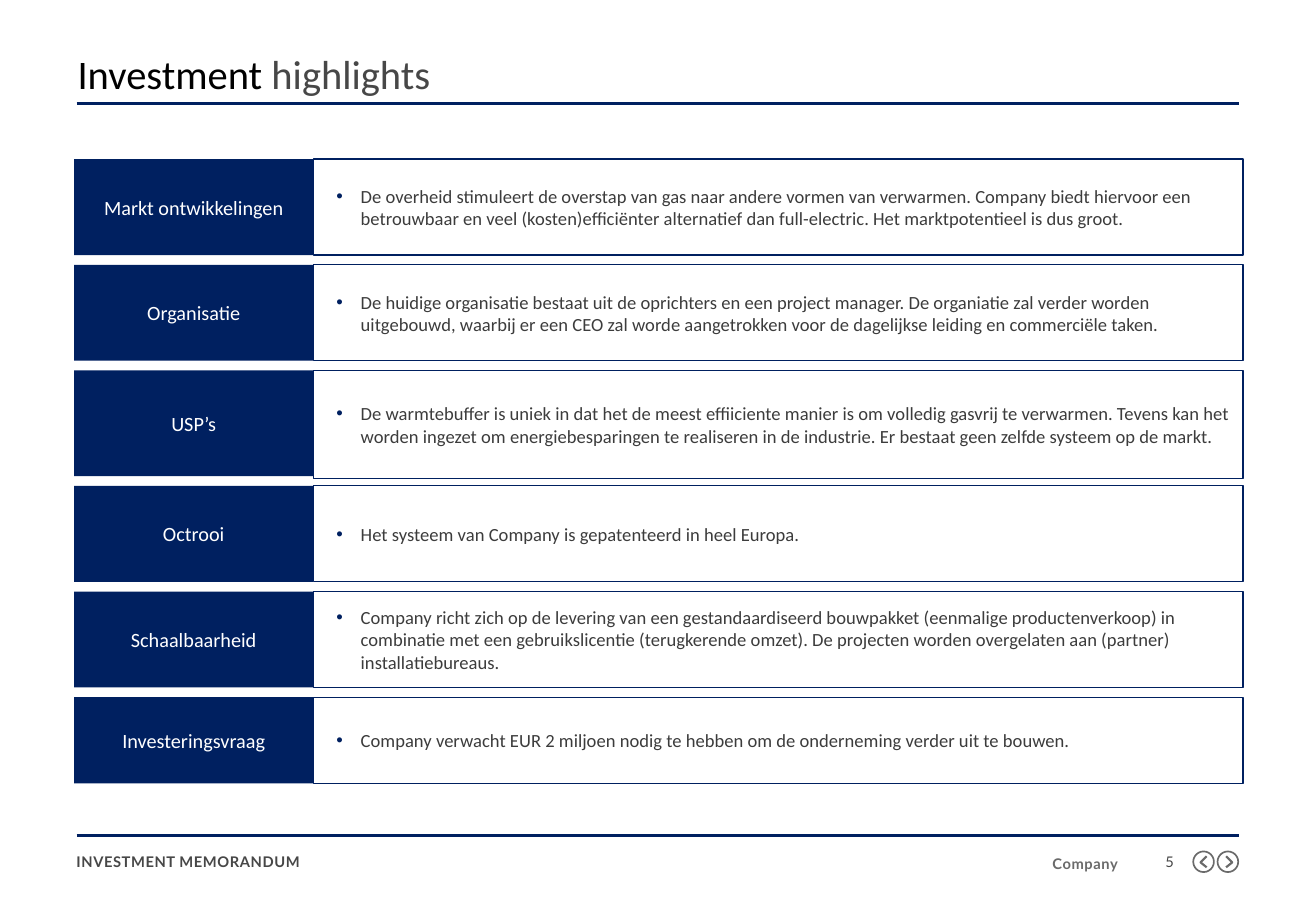
from dataclasses import dataclass

from lxml import etree
from pptx import Presentation
from pptx.dml.color import RGBColor
from pptx.enum.shapes import MSO_CONNECTOR, MSO_SHAPE
from pptx.enum.text import MSO_ANCHOR, PP_ALIGN
from pptx.oxml.ns import qn
from pptx.util import Pt

PX = 9144  # 100 px to the inch
LEFT, CENTER, RIGHT = PP_ALIGN.LEFT, PP_ALIGN.CENTER, PP_ALIGN.RIGHT
TOP, MIDDLE = MSO_ANCHOR.TOP, MSO_ANCHOR.MIDDLE
RECT, OVAL = MSO_SHAPE.RECTANGLE, MSO_SHAPE.OVAL
STRAIGHT = MSO_CONNECTOR.STRAIGHT

COLORS = {"navy": "002060", "white": "FFFFFF", "black": "000000",
          "dark": "474747", "body": "3C3C3C", "grey": "6A6A6A"}
TITLE = {"name": "Calibri", "size": Pt(24)}
LABEL = {"name": "Calibri", "size": Pt(12)}
BODY = {"name": "Calibri", "size": Pt(11)}
FOOTER = {"name": "Lato", "size": Pt(8.7)}
FOOTER_BOLD = {**FOOTER, "bold": True}

ROWS_TOP, ROW_GAP = 131, 8
LABEL_LEFT, LABEL_WIDTH = 61, 197
BODY_LEFT, BODY_WIDTH = LABEL_LEFT + LABEL_WIDTH, 765
RULE_LEFT, RULE_RIGHT = 63, 1020
ICON_TOP, ICON_SIZE = 701, 17


@dataclass
class Highlight:
    label: str
    text: str
    height: int = 79
    body_extra: int = 0


@dataclass
class FooterText:
    text: str
    box: tuple[int, int, int, int]
    align: PP_ALIGN
    color: str
    font: dict


@dataclass
class NavIcon:
    left: int
    back_x: int
    tip_x: int


HIGHLIGHTS = [
    Highlight("Markt ontwikkelingen",
              "De overheid stimuleert de overstap van gas naar andere vormen van verwarmen. "
              "Company biedt hiervoor een betrouwbaar en veel (kosten)efficiënter alternatief "
              "dan full-electric. Het marktpotentieel is dus groot."),
    Highlight("Organisatie",
              "De huidige organisatie bestaat uit de oprichters en een project manager. "
              "De organiatie zal verder worden uitgebouwd, waarbij er een CEO zal worde "
              "aangetrokken voor de dagelijkse leiding en commerciële taken."),
    Highlight("USP’s",
              "De warmtebuffer is uniek in dat het de meest effiiciente manier is om volledig "
              "gasvrij te verwarmen. Tevens kan het worden ingezet om energiebesparingen te "
              "realiseren in de industrie. Er bestaat geen zelfde systeem op de markt.",
              height=87, body_extra=2),
    Highlight("Octrooi", "Het systeem van Company is gepatenteerd in heel Europa."),
    Highlight("Schaalbaarheid",
              "Company richt zich op de levering van een gestandaardiseerd bouwpakket "
              "(eenmalige productenverkoop) in combinatie met een gebruikslicentie "
              "(terugkerende omzet). De projecten worden overgelaten aan (partner) "
              "installatiebureaus."),
    Highlight("Investeringsvraag",
              "Company verwacht EUR 2 miljoen nodig te hebben om de onderneming verder "
              "uit te bouwen.", height=71),
]
FOOTERS = [
    FooterText("INVESTMENT MEMORANDUM", (63, 702, 823, 15), LEFT, "dark", FOOTER_BOLD),
    FooterText("Company", (656, 704, 264, 15), RIGHT, "grey", FOOTER_BOLD),
    FooterText("5", (941, 702, 25, 15), RIGHT, "dark", FOOTER),
]
NAV_ICONS = [NavIcon(982, 993, 988), NavIcon(1002, 1009, 1014)]


def rgb(name: str) -> RGBColor:
    return RGBColor.from_string(COLORS[name])


def px(*lengths: int) -> list[int]:
    return [length * PX for length in lengths]


def add_run(p, text: str, color: str, font: dict):
    r = p.add_run()
    r.text = text
    for key, value in font.items():
        setattr(r.font, key, value)
    r.font.color.rgb = rgb(color)
    return r


def set_frame(tf, anchor: MSO_ANCHOR, align: PP_ALIGN, inset_x: int, inset_y: int):
    """Lay out a text frame and return its first paragraph."""
    frame = {"word_wrap": True, "vertical_anchor": anchor,
             "margin_left": inset_x * PX, "margin_right": inset_x * PX,
             "margin_top": inset_y * PX, "margin_bottom": inset_y * PX}
    for key, value in frame.items():
        setattr(tf, key, value)
    p = tf.paragraphs[0]
    p.alignment = align
    return p


def style_shape(sp, fill: str | None, line: str | None, width: float = 1) -> None:
    sp.shadow.inherit = False
    if fill:
        sp.fill.solid()
        sp.fill.fore_color.rgb = rgb(fill)
    else:
        sp.fill.background()
    if line:
        sp.line.color.rgb = rgb(line)
        sp.line.width = Pt(width)
    else:
        sp.line.fill.background()


def add_bullet(p) -> None:
    pPr = p._p.get_or_add_pPr()
    pPr.set("marL", str(29 * PX))
    pPr.set("indent", str(-20 * PX))
    color = etree.SubElement(pPr, qn("a:buClr"))
    etree.SubElement(color, qn("a:srgbClr"), val=COLORS["navy"])
    etree.SubElement(pPr, qn("a:buFont"), typeface="Arial")
    etree.SubElement(pPr, qn("a:buChar"), char="•")


def add_rule(s, y: int, width: float) -> None:
    line = s.shapes.add_connector(STRAIGHT, *px(RULE_LEFT, y, RULE_RIGHT, y))
    line.line.color.rgb = rgb("navy")
    line.line.width = Pt(width)
    etree.SubElement(line._element.spPr, qn("a:effectLst"))


def add_title(s) -> None:
    tb = s.shapes.add_textbox(*px(54, 38, 984, 44))
    p = set_frame(tb.text_frame, MIDDLE, LEFT, 10, 5)
    add_run(p, "Investment ", "black", TITLE)
    add_run(p, "highlights", "dark", TITLE)


def add_highlight(s, row: Highlight, top: int) -> None:
    label = s.shapes.add_shape(RECT, *px(LABEL_LEFT, top, LABEL_WIDTH, row.height))
    style_shape(label, "navy", None)
    add_run(set_frame(label.text_frame, MIDDLE, CENTER, 10, 5), row.label, "white", LABEL)

    body = s.shapes.add_shape(
        RECT, *px(BODY_LEFT, top, BODY_WIDTH, row.height + row.body_extra))
    style_shape(body, "white", "navy", 0.75)
    p = set_frame(body.text_frame, MIDDLE, LEFT, 10, 5)
    add_bullet(p)
    add_run(p, row.text, "body", BODY)


def add_footer(s, footer: FooterText) -> None:
    tb = s.shapes.add_textbox(*px(*footer.box))
    p = set_frame(tb.text_frame, TOP, footer.align, 0, 0)
    r = add_run(p, footer.text, footer.color, footer.font)
    r._r.get_or_add_rPr().set("spc", "30")


def add_nav_icon(s, icon: NavIcon) -> None:
    ring = s.shapes.add_shape(OVAL, *px(icon.left, ICON_TOP, ICON_SIZE, ICON_SIZE))
    style_shape(ring, None, "grey")
    builder = s.shapes.build_freeform(icon.back_x, ICON_TOP + 4, scale=PX)
    builder.add_line_segments(
        [(icon.tip_x, ICON_TOP + 9), (icon.back_x, ICON_TOP + 13)], close=False)
    style_shape(builder.convert_to_shape(), None, "grey", 1.25)


def main() -> None:
    prs = Presentation()
    prs.slide_width, prs.slide_height = px(1083, 750)
    s = prs.slides.add_slide(prs.slide_layouts[6])
    add_rule(s, 85, 2)
    add_rule(s, 688, 1.5)
    add_title(s)
    top = ROWS_TOP
    for row in HIGHLIGHTS:
        add_highlight(s, row, top)
        top += row.height + ROW_GAP
    for footer in FOOTERS:
        add_footer(s, footer)
    for icon in NAV_ICONS:
        add_nav_icon(s, icon)
    prs.save("out.pptx")


if __name__ == "__main__":
    main()
